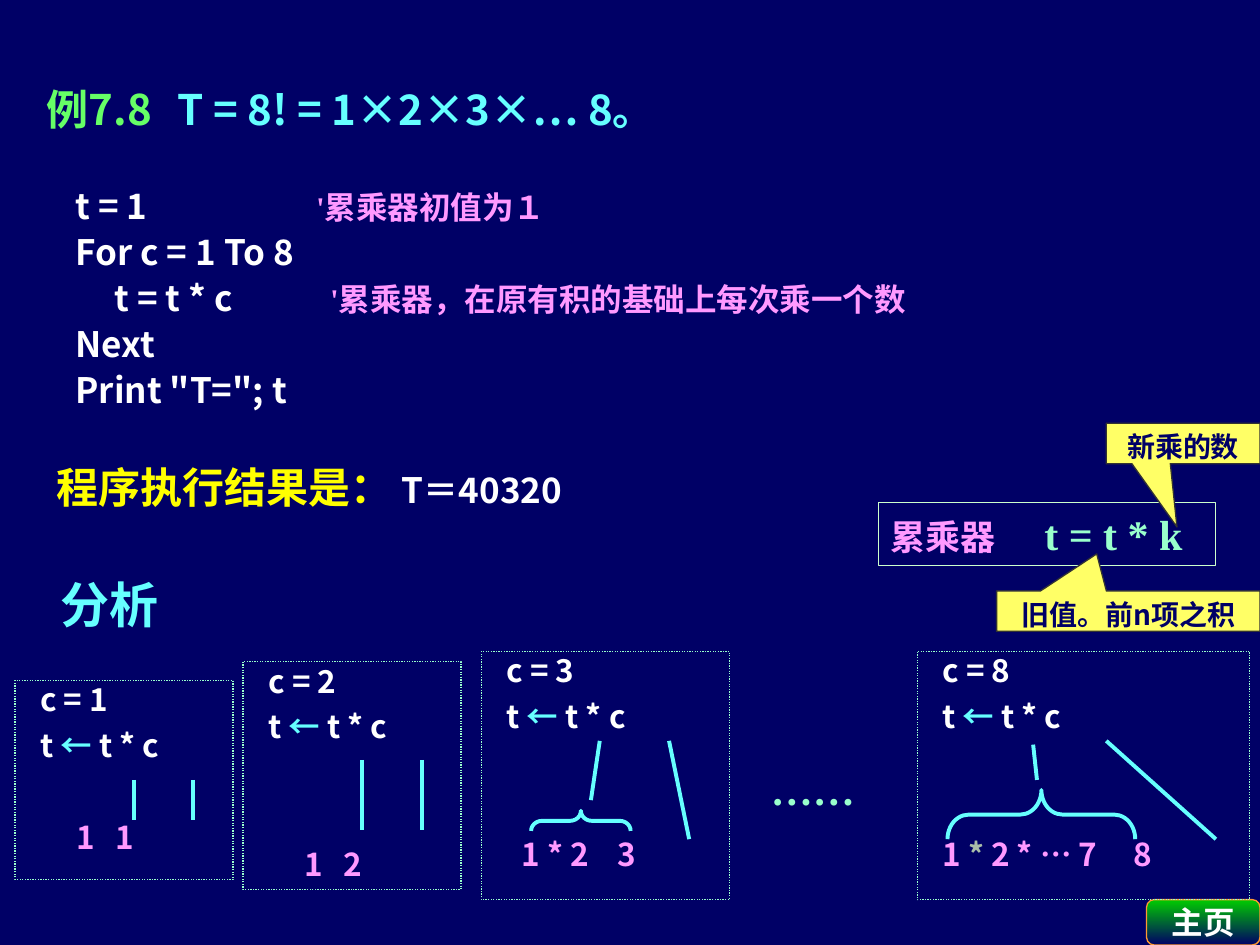
from dataclasses import dataclass

from lxml.etree import SubElement
from pptx import Presentation
from pptx.dml.color import RGBColor
from pptx.enum.dml import MSO_LINE
from pptx.enum.shapes import MSO_CONNECTOR, MSO_SHAPE
from pptx.enum.text import MSO_ANCHOR, PP_ALIGN
from pptx.oxml.ns import qn
from pptx.util import Inches, Pt

SANS, SANS_JP, SERIF = "Noto Sans CJK SC", "Noto Sans CJK JP", "Times New Roman"
COLORS = {
    "navy": "000066", "white": "FFFFFF", "cyan": "66FFFF", "lime": "66FF66",
    "pink": "FF99FF", "yellow": "FFFF00", "note": "FFFF66", "mint": "99FFCC",
    "pale": "CCFFCC", "sage": "A9BDA9", "dark": "333333", "green": "00CC00",
    "orange": "FF9933",
}


@dataclass
class Run:
    """A stretch of text; unset values come from the block's format."""
    text: str
    color: str | None = None
    size: float | None = None
    font: str | None = None


@dataclass
class Step:
    """One boxed pass of the loop, with its operands and guide lines."""
    count: int
    box: tuple[float, float, float, float]
    operands: list[Run]
    tabs: list[float]
    skipped_lines: int
    guides: list[tuple[float, float, float, float]]
    brace: tuple[float, float, float, float] | None = None
    curl: float = 0.5


@dataclass
class Callout:
    """A yellow note with its pointer offsets."""
    text: str
    box: tuple[float, float, float, float]
    pointer: tuple[float, float]


def rgb(name: str) -> RGBColor:
    """Look up a named colour."""
    return RGBColor.from_string(COLORS[name])


def write(frame, paragraphs, *, size=18, color="white", font=SANS, align=PP_ALIGN.LEFT,
          anchor=MSO_ANCHOR.TOP, insets=(0.1, 0.05, 0.1, 0.05), tabs=(), wrap=True,
          pitch=None, gap=0, last_gap=0):
    """Fill a text frame with paragraphs, each a list of runs."""
    frame.word_wrap = wrap
    frame.vertical_anchor = anchor
    (frame.margin_left, frame.margin_top,
     frame.margin_right, frame.margin_bottom) = map(Inches, insets)
    for index, runs in enumerate(paragraphs):
        paragraph = frame.paragraphs[0] if index == 0 else frame.add_paragraph()
        paragraph.alignment = align
        is_last = index == len(paragraphs) - 1
        paragraph.space_before = Pt(last_gap if is_last else gap)
        if pitch:
            paragraph.line_spacing = Pt(pitch)
        if tabs:
            stops = SubElement(paragraph._p.get_or_add_pPr(), qn("a:tabLst"))
            for stop in tabs:
                SubElement(stops, qn("a:tab"), pos=str(Inches(stop)), algn="l")
        for part in runs:
            run = paragraph.add_run()
            run.text = part.text
            run.font.size = Pt(part.size or size)
            run.font.bold = True
            run.font.color.rgb = rgb(part.color or color)
            latin = part.font or font
            run.font.name = latin
            SubElement(run._r.get_or_add_rPr(), qn("a:ea"),
                       typeface=SANS if latin == SERIF else latin)


def add_text(slide, box, paragraphs, **style):
    """Add a text box."""
    write(slide.shapes.add_textbox(*map(Inches, box)).text_frame, paragraphs, **style)


def add_outline(slide, kind, box, line, width=0.75, fill=None):
    """Add a preset shape with a plain line and an optional fill."""
    shape = slide.shapes.add_shape(kind, *map(Inches, box))
    shape.shadow.inherit = False
    shape.line.color.rgb = rgb(line)
    shape.line.width = Pt(width)
    if fill:
        shape.fill.solid()
        shape.fill.fore_color.rgb = rgb(fill)
    else:
        shape.fill.background()
    return shape


def add_guide(slide, ends):
    """Add a cyan line from a factor to its value."""
    guide = slide.shapes.add_connector(MSO_CONNECTOR.STRAIGHT, *map(Inches, ends))
    guide.line.color.rgb = rgb("cyan")
    guide.line.width = Pt(2.25)
    SubElement(guide._element.spPr, qn("a:effectLst"))


def add_step(slide, step: Step):
    """Draw one pass of the loop."""
    frame = add_outline(slide, MSO_SHAPE.RECTANGLE, step.box, "mint")
    frame.line.dash_style = MSO_LINE.ROUND_DOT
    write(frame.text_frame,
          [[Run(f"c = {step.count}")],
           [Run("t "), Run("← ", "cyan"), Run("t * c")],
           step.operands],
          insets=(0.2, 0, 0.01, 0), tabs=step.tabs, gap=STEP_GAP,
          last_gap=STEP_GAP + step.skipped_lines * LINE)
    for ends in step.guides:
        add_guide(slide, ends)
    if step.brace:
        brace = add_outline(slide, MSO_SHAPE.LEFT_BRACE, step.brace, "cyan", 2.25)
        brace.rotation = 90
        brace.adjustments[0] = step.curl


def add_callout(slide, callout: Callout):
    """Draw a yellow note."""
    note = add_outline(slide, MSO_SHAPE.RECTANGULAR_CALLOUT, callout.box, "dark", fill="note")
    note.adjustments[0], note.adjustments[1] = callout.pointer
    write(note.text_frame, [[Run(callout.text)]], size=16, color="navy",
          align=PP_ALIGN.CENTER)


def add_home_button(slide):
    """Draw the button in the lower right corner."""
    button = add_outline(slide, MSO_SHAPE.ROUNDED_RECTANGLE, (9.1, 7.14, 0.9, 0.36), "orange")
    button.fill.gradient()
    button.fill.gradient_angle = 270
    for stop, name in zip(button.fill.gradient_stops, ("green", "navy")):
        stop.color.rgb = rgb(name)
    write(button.text_frame, [[Run("主页")]], font=SERIF, align=PP_ALIGN.CENTER,
          anchor=MSO_ANCHOR.MIDDLE, wrap=False)


LINE = 26.3
STEP_GAP = 4.5
STEPS = [
    Step(1, (0.12, 5.4, 1.73, 1.58), [Run("\t1\t1", "pink")], [0.29, 0.6], 1,
         [(x, 6.19, x, 6.51) for x in (1.06, 1.53)]),
    Step(2, (1.93, 5.25, 1.73, 1.81), [Run("\t1\t2", "pink")], [0.29, 0.6], 2,
         [(x, 6.03, x, 6.59) for x in (2.87, 3.35)]),
    Step(3, (3.82, 5.17, 1.97, 1.97), [Run("\t1 * 2\t3", "pink")], [0.12, 0.88], 2,
         [(4.76, 5.88, 4.69, 6.35), (5.31, 5.88, 5.47, 6.66)],
         (4.53, 6.12, 0.16, 0.79), 0.54),
    Step(8, (7.28, 5.17, 2.64, 1.97),
         [Run("1 ", "pink"), Run("* ", "sage"), Run("2 * … 7\t8", "pink")], [1.52], 2,
         [(8.2, 5.91, 8.23, 6.19), (8.78, 5.88, 9.65, 6.66)],
         (8.07, 5.72, 0.39, 1.49), 0.43),
]
CALLOUTS = [
    Callout("旧值。前n项之积", (7.91, 4.69, 2.09, 0.32), (-0.12, -1.42)),
    Callout("新乘的数", (8.78, 3.36, 1.22, 0.32), (-0.04, 2.07)),
]
CODE = [
    [Run("t = 1\t"), Run("'", "pink", 18, SERIF), Run("累乘器初值为１", "pink", 18)],
    [Run("For c = 1 To 8")],
    [Run("\tt = t * c\t"), Run("'", "pink", 18, SERIF),
     Run("累乘器，在原有积的基础上每次乘一个数", "pink", 18)],
    [Run("Next")],
    [Run('Print "T="; t')],
]
# The first comment starts slightly left of the indented one.
CODE_BLOCKS = [(0, 1, (1.91,)), (1, 5, (0.31, 2.02))]


def main():
    """Build the slide and save it."""
    deck = Presentation()
    deck.slide_width, deck.slide_height = Inches(10), Inches(7.5)
    slide = deck.slides.add_slide(deck.slide_layouts[5])
    slide.background.fill.solid()
    slide.background.fill.fore_color.rgb = rgb("navy")
    add_home_button(slide)

    flat = {"insets": (0, 0, 0, 0)}
    title = slide.shapes.title
    title.left, title.top, title.width, title.height = map(Inches, (0.37, 0.56, 9.2, 0.6))
    write(title.text_frame, [[Run("例7.8\t", "lime"), Run("T = 8! = 1×2×3×… 8。")]],
          size=24, color="cyan", anchor=MSO_ANCHOR.MIDDLE, tabs=[1.04], **flat)
    pitch = LINE / 72
    for first, last, tabs in CODE_BLOCKS:
        add_text(slide, (0.6, 1.43 + first * pitch, 9, (last - first) * pitch),
                 CODE[first:last], size=20, tabs=tabs, pitch=LINE, **flat)
    add_text(slide, (0.45, 3.56, 5, 0.6),
             [[Run("程序执行结果是：\t", "yellow", 24), Run("T＝40320")]],
             size=20, anchor=MSO_ANCHOR.MIDDLE, tabs=[2.74], **flat)
    add_text(slide, (0.48, 4.49, 2, 0.6), [[Run("分析")]], size=28, color="cyan",
             font=SANS_JP, anchor=MSO_ANCHOR.MIDDLE, **flat)

    for step in STEPS:
        add_step(slide, step)
    add_text(slide, (6.02, 6.01, 0.94, 0.5), [[Run("……")]], size=24, color="mint", font=SERIF)

    accumulator = add_outline(slide, MSO_SHAPE.RECTANGLE, (6.97, 3.99, 2.68, 0.5), "pale")
    write(accumulator.text_frame,
          [[Run("累乘器\t", "pink", 20), Run("t = t * k", "mint", 24)]],
          font=SERIF, tabs=[1.22])
    for callout in CALLOUTS:
        add_callout(slide, callout)
    deck.save("out.pptx")


main()
